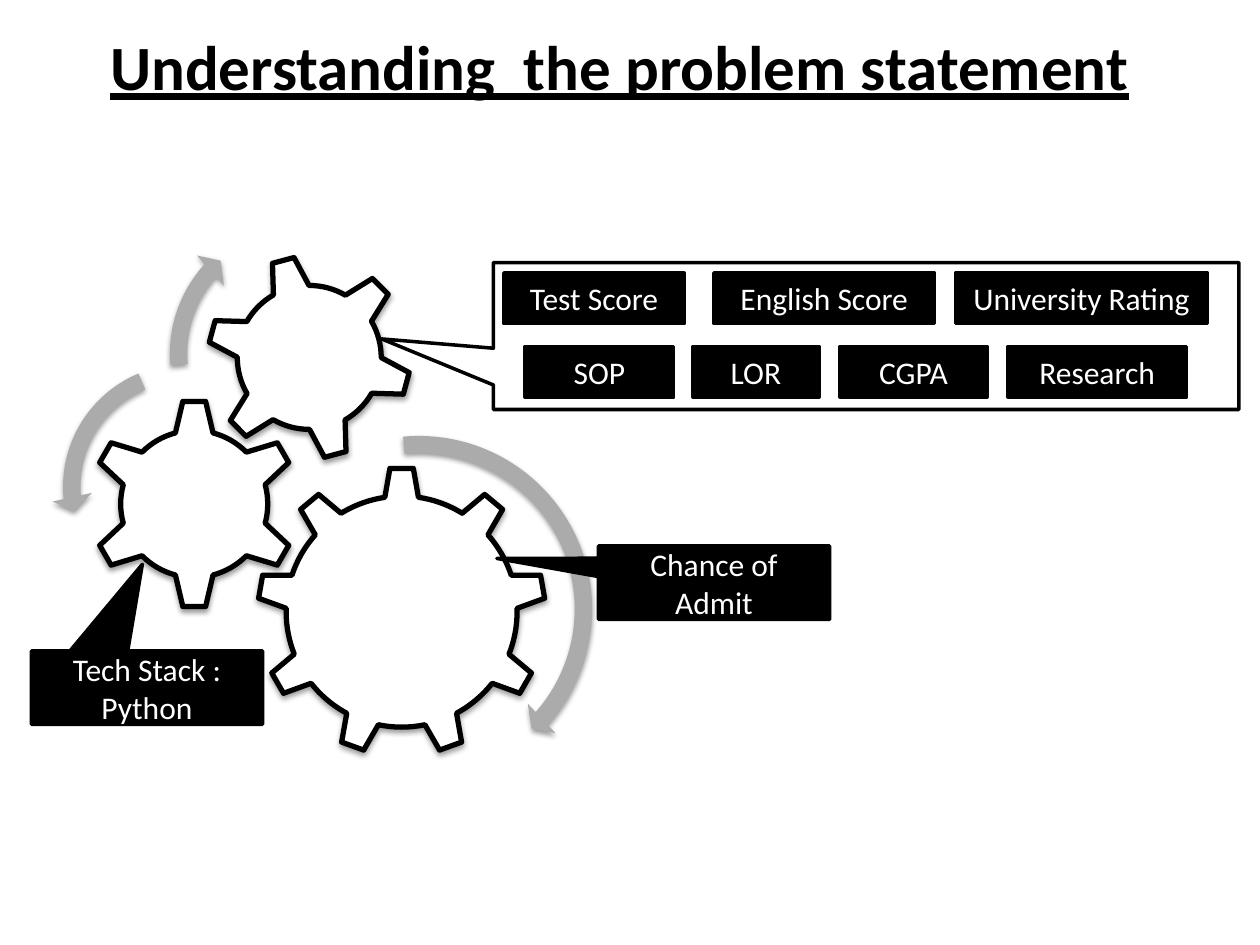
"""Build the slide that explains the problem statement with gears and callouts."""
from lxml import etree
from pptx import Presentation
from pptx.dml.color import RGBColor
from pptx.enum.shapes import MSO_SHAPE
from pptx.enum.text import MSO_ANCHOR, MSO_AUTO_SIZE, PP_ALIGN
from pptx.oxml.ns import qn
from pptx.util import Pt

RECTANGLE = MSO_SHAPE.RECTANGLE
CALLOUT = MSO_SHAPE.RECTANGULAR_CALLOUT
GEAR_6, GEAR_9 = MSO_SHAPE.GEAR_6, MSO_SHAPE.GEAR_9
TURN_RIGHT, TURN_LEFT = MSO_SHAPE.CIRCULAR_ARROW, MSO_SHAPE.LEFT_CIRCULAR_ARROW
CENTER, MIDDLE = PP_ALIGN.CENTER, MSO_ANCHOR.MIDDLE
GROW = MSO_AUTO_SIZE.SHAPE_TO_FIT_TEXT

COLORS = {"ink": "000000", "paper": "FFFFFF", "arrow": "ABABAB"}
FONT = "Calibri"

prs = Presentation()
prs.slide_width, prs.slide_height = Pt(720), Pt(540)
slide = prs.slides.add_slide(prs.slide_layouts[6])


def add_part(kind, box, fill=None, line_width=0, adjustments=(), text=""):
    part = slide.shapes.add_shape(kind, *map(Pt, box))
    part.shadow.inherit = False
    for index, value in enumerate(adjustments):
        part.adjustments[index] = value
    if fill:
        part.fill.solid()
        part.fill.fore_color.rgb = RGBColor.from_string(COLORS[fill])
    else:
        part.fill.background()
    if line_width:
        part.line.width = Pt(line_width)
        part.line.color.rgb = RGBColor.from_string(COLORS["ink"])
    else:
        part.line.fill.background()
    if text:
        part.text_frame.word_wrap = True
        part.text_frame.vertical_anchor = MIDDLE
        write(part.text_frame, text, 18, "paper")
    return part


def write(frame, text, size, color):
    paragraph = frame.paragraphs[0]
    paragraph.text = text
    paragraph.alignment = CENTER
    paragraph.font.name = FONT
    paragraph.font.size = Pt(size)
    paragraph.font.color.rgb = RGBColor.from_string(COLORS[color])
    return paragraph.font


title = slide.shapes.add_textbox(Pt(0), Pt(12), Pt(708), Pt(51)).text_frame
title.word_wrap = True
title.auto_size = GROW
title_font = write(title, "Understanding  the problem statement", 36, "ink")
title_font.bold = title_font.underline = True

gear_train = []
for kind, left, top, size, rotation in (
    (GEAR_9, 147, 267, 165, 0),
    (GEAR_6, 51, 228, 120, 0),
    (GEAR_6, 118, 145.5, 117.5, 345),
):
    gear = add_part(kind, (left, top, size, size), "paper", 3)
    gear.rotation = rotation
    gear_train.append(gear)

for kind, left, top, size, thickness, head_angle, end, start, head in (
    (TURN_RIGHT, 134, 242.5, 211, 4.7, 2.99, 25.06, 158.83, 5.5),
    (TURN_LEFT, 29.5, 201.5, 153.5, 6.5, 4.3, 104.89, 148.38, 7.5),
    (TURN_RIGHT, 90.5, 119.5, 165.5, 6, 3.94, 133.14, 105.08, 7),
):
    bend = (thickness / 100, head_angle, end, start, head / 100)
    gear_train.append(add_part(kind, (left, top, size, size), "arrow", 0, bend))

for part in gear_train:
    effects = part.element.spPr.find(qn("a:effectLst"))
    shadow = etree.SubElement(
        effects, qn("a:outerShdw"), blurRad=str(Pt(3.1)), dist=str(Pt(1.6)),
        dir="5400000", rotWithShape="0",
    )
    shade = etree.SubElement(shadow, qn("a:srgbClr"), val=COLORS["ink"])
    etree.SubElement(shade, qn("a:alpha"), val="38000")

feature_rows = {
    156: (("Test Score", 288, 103), ("English Score", 408, 126), ("University Rating", 546, 144)),
    198: (("SOP", 300, 85), ("LOR", 396, 72), ("CGPA", 480, 84), ("Research", 576, 102)),
}
for top, features in feature_rows.items():
    for feature, left, width in features:
        add_part(RECTANGLE, (left, top, width, 29), "ink", 2, text=feature)

for text, box, fill, tip in (
    ("Tech Stack : Python", (18, 372, 132, 42), "ink", (-0.02, -1.68)),
    ("", (282, 150, 426, 84), None, (-0.65, 0.02)),
    ("Chance of Admit", (342, 312, 132, 42), "ink", (-0.94, -0.33)),
):
    add_part(CALLOUT, box, fill, 2, tip, text)

prs.save("out.pptx")
